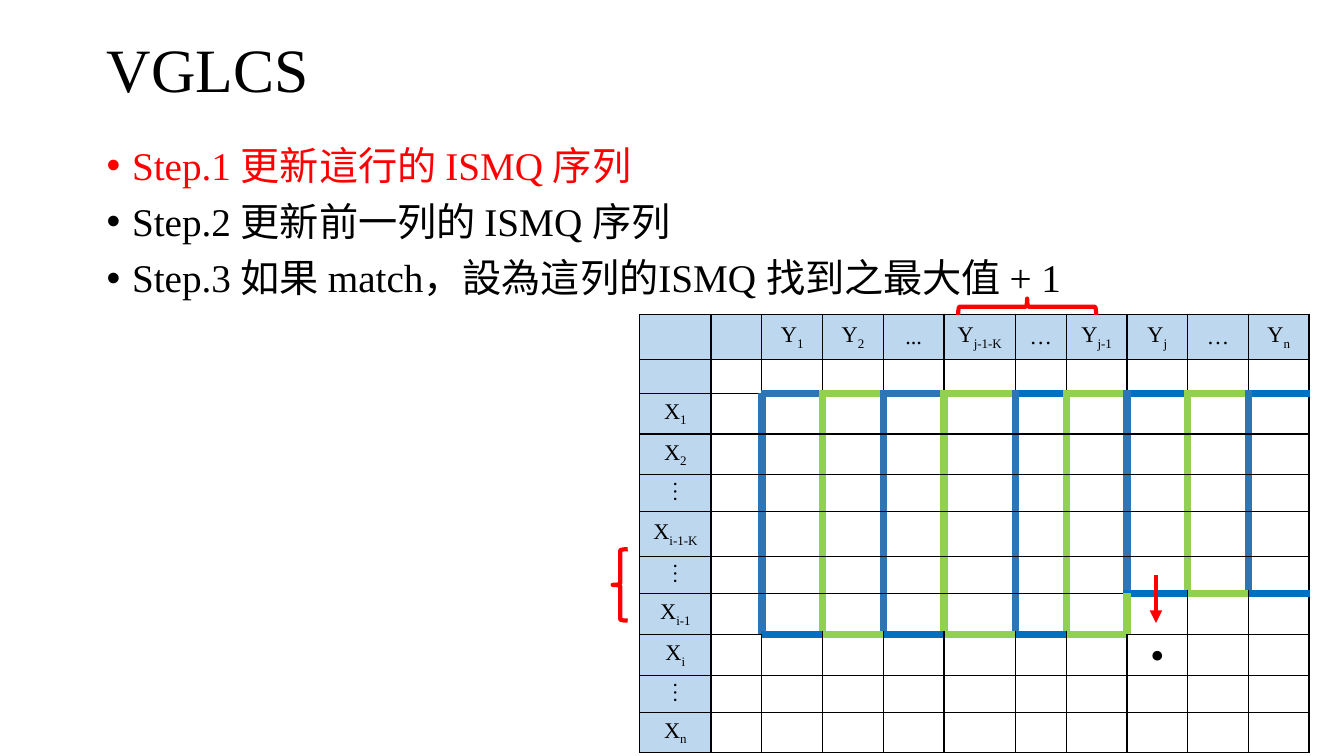
from dataclasses import dataclass

from lxml.etree import SubElement
from pptx import Presentation
from pptx.dml.color import RGBColor
from pptx.enum.shapes import MSO_CONNECTOR, MSO_SHAPE
from pptx.enum.text import MSO_ANCHOR, PP_ALIGN
from pptx.oxml import parse_xml
from pptx.oxml.ns import nsdecls, qn
from pptx.slide import Slide
from pptx.table import _Cell
from pptx.text.text import TextFrame, _Paragraph
from pptx.util import Cm, Pt

COLORS = {
    "black": "000000",
    "red": "FF0000",
    "header": "BDD7EE",
    "green": "92D050",
    "blue": "2E75B6",
    "bright_blue": "0070C0",
}
FONT_NAME = "Times New Roman"
COLUMN_WIDTHS = [1.8, 1.28] + [1.53] * 3 + [1.8, 1.28] + [1.53] * 4
ROW_HEIGHTS = [1.14, 0.85, 0.94, 0.94, 0.85, 1.14, 0.85, 0.94, 0.94, 0.85, 0.94]
FIRST_COLUMN, FIRST_ROW = 2, 2
CURRENT_COLUMN, CURRENT_ROW = 8, 8


@dataclass
class Label:
    text: str
    subscript: str = ""


@dataclass
class Step:
    text: str
    color: str


@dataclass
class Brace:
    left: float
    top: float
    width: float
    height: float
    rotation: int = 0


COLUMN_LABELS = [
    Label("Y", "1"), Label("Y", "2"), Label("..."), Label("Y", "j-1-K"), Label("…"),
    Label("Y", "j-1"), Label("Y", "j"), Label("…"), Label("Y", "n"),
]
ROW_LABELS = [
    Label("X", "1"), Label("X", "2"), Label("⋮"), Label("X", "i-1-K"), Label("⋮"),
    Label("X", "i-1"), Label("X", "i"), Label("⋮"), Label("X", "n"),
]
STEPS = [
    Step("Step.1 更新這行的 ISMQ 序列", "red"),
    Step("Step.2 更新前一列的 ISMQ 序列", "black"),
    Step("Step.3 如果 match，設為這列的ISMQ 找到之最大值 + 1", "black"),
]
BRACES = [
    Brace(15.44, 13.84, 0.38, 1.8),
    Brace(25.68, 5.99, 0.41, 3.48, 90),
]


def rgb(name: str) -> RGBColor:
    return RGBColor.from_string(COLORS[name])


def set_font(paragraph: _Paragraph, size: int, color: str = "black") -> None:
    paragraph.font.name = FONT_NAME
    paragraph.font.size = Pt(size)
    paragraph.font.color.rgb = rgb(color)


def add_text_frame(slide: Slide, top: float, height: float) -> TextFrame:
    text_frame = slide.shapes.add_textbox(Cm(2.44), Cm(top), Cm(29.21), Cm(height)).text_frame
    text_frame.word_wrap = True
    return text_frame


def add_title(slide: Slide) -> None:
    text_frame = add_text_frame(slide, 0, 3.68)
    text_frame.vertical_anchor = MSO_ANCHOR.MIDDLE
    paragraph = text_frame.paragraphs[0]
    paragraph.text = "VGLCS"
    paragraph.line_spacing = 0.9
    set_font(paragraph, 44)


def add_steps(slide: Slide) -> None:
    text_frame = add_text_frame(slide, 3.56, 12.09)
    for index, step in enumerate(STEPS):
        paragraph = text_frame.add_paragraph() if index else text_frame.paragraphs[0]
        paragraph.text = step.text
        paragraph.line_spacing = 0.9
        if index:
            paragraph.space_before = Pt(10)
        properties = paragraph._p.get_or_add_pPr()
        properties.set("marL", str(Cm(0.64)))
        properties.set("indent", str(-Cm(0.64)))
        SubElement(properties, qn("a:buFont"), typeface="Arial")
        SubElement(properties, qn("a:buChar"), char="•")
        set_font(paragraph, 28, step.color)


def vertical_color(row: int, column: int) -> str:
    last_row = CURRENT_ROW - 1 if column <= CURRENT_COLUMN else CURRENT_ROW - 2
    if not (FIRST_COLUMN <= column < len(COLUMN_WIDTHS) and FIRST_ROW <= row <= last_row):
        return "black"
    at_corner = (row, column) == (CURRENT_ROW - 1, CURRENT_COLUMN)
    return "green" if column % 2 or at_corner else "blue"


def horizontal_color(row: int, column: int) -> str:
    bottom = CURRENT_ROW if column < CURRENT_COLUMN else CURRENT_ROW - 1
    if column < FIRST_COLUMN or row not in (FIRST_ROW, bottom):
        return "black"
    if column % 2:
        return "green"
    return "blue" if row == FIRST_ROW and column < 6 else "bright_blue"


def set_borders(cell: _Cell, row: int, column: int) -> None:
    edges = {
        "lnL": vertical_color(row, column),
        "lnR": vertical_color(row, column + 1),
        "lnT": horizontal_color(row, column),
        "lnB": horizontal_color(row + 1, column),
    }
    properties = cell._tc.get_or_add_tcPr()
    for index, (tag, color) in enumerate(edges.items()):
        width = Pt(1 if color == "black" else 6)
        properties.insert(index, parse_xml(
            f'<a:{tag} {nsdecls("a")} w="{width}"><a:solidFill>'
            f'<a:srgbClr val="{COLORS[color]}"/></a:solidFill></a:{tag}>'
        ))


def fill_cell(cell: _Cell, label: Label | None) -> None:
    cell.vertical_anchor = MSO_ANCHOR.MIDDLE
    paragraph = cell.text_frame.paragraphs[0]
    paragraph.alignment = PP_ALIGN.CENTER
    set_font(paragraph, 16)
    if label is None:
        cell.margin_top = cell.margin_bottom = 0
        return
    paragraph.add_run().text = label.text
    if label.subscript:
        run = paragraph.add_run()
        run.text = label.subscript
        run._r.get_or_add_rPr().set("baseline", "-25000")


def add_grid(slide: Slide) -> None:
    labels = {(0, column): label for column, label in enumerate(COLUMN_LABELS, FIRST_COLUMN)}
    labels |= {(row, 0): label for row, label in enumerate(ROW_LABELS, FIRST_ROW)}
    labels[CURRENT_ROW, CURRENT_COLUMN] = Label("●")
    table = slide.shapes.add_table(
        len(ROW_HEIGHTS), len(COLUMN_WIDTHS), Cm(16.12), Cm(7.92),
        Cm(sum(COLUMN_WIDTHS)), Cm(sum(ROW_HEIGHTS)),
    ).table
    table.first_row = table.horz_banding = False
    for column, width in enumerate(COLUMN_WIDTHS):
        table.columns[column].width = Cm(width)
    for row, height in enumerate(ROW_HEIGHTS):
        table.rows[row].height = Cm(height)
        for column in range(len(COLUMN_WIDTHS)):
            cell = table.cell(row, column)
            if row == 0 or column == 0:
                cell.fill.solid()
                cell.fill.fore_color.rgb = rgb("header")
            else:
                cell.fill.background()
            fill_cell(cell, labels.get((row, column)))
            set_borders(cell, row, column)


def add_arrow(slide: Slide) -> None:
    arrow = slide.shapes.add_connector(
        MSO_CONNECTOR.STRAIGHT, Cm(29.13), Cm(14.5), Cm(29.13), Cm(15.7)
    )
    arrow.line.color.rgb = rgb("red")
    arrow.line.width = Pt(3)
    SubElement(arrow.line._get_or_add_ln(), qn("a:tailEnd"), type="triangle")
    SubElement(arrow._element.spPr, qn("a:effectLst"))


def add_brace(slide: Slide, brace: Brace) -> None:
    shape = slide.shapes.add_shape(
        MSO_SHAPE.LEFT_BRACE, Cm(brace.left), Cm(brace.top), Cm(brace.width), Cm(brace.height)
    )
    shape.rotation = brace.rotation
    shape.shadow.inherit = False
    shape.fill.background()
    shape.line.color.rgb = rgb("red")
    shape.line.width = Pt(3)


def main() -> None:
    presentation = Presentation()
    presentation.slide_width, presentation.slide_height = Cm(33.87), Cm(19.05)
    slide = presentation.slides.add_slide(presentation.slide_layouts[6])
    add_steps(slide)
    add_title(slide)
    add_grid(slide)
    add_arrow(slide)
    for brace in BRACES:
        add_brace(slide, brace)
    presentation.save("out.pptx")


if __name__ == "__main__":
    main()
